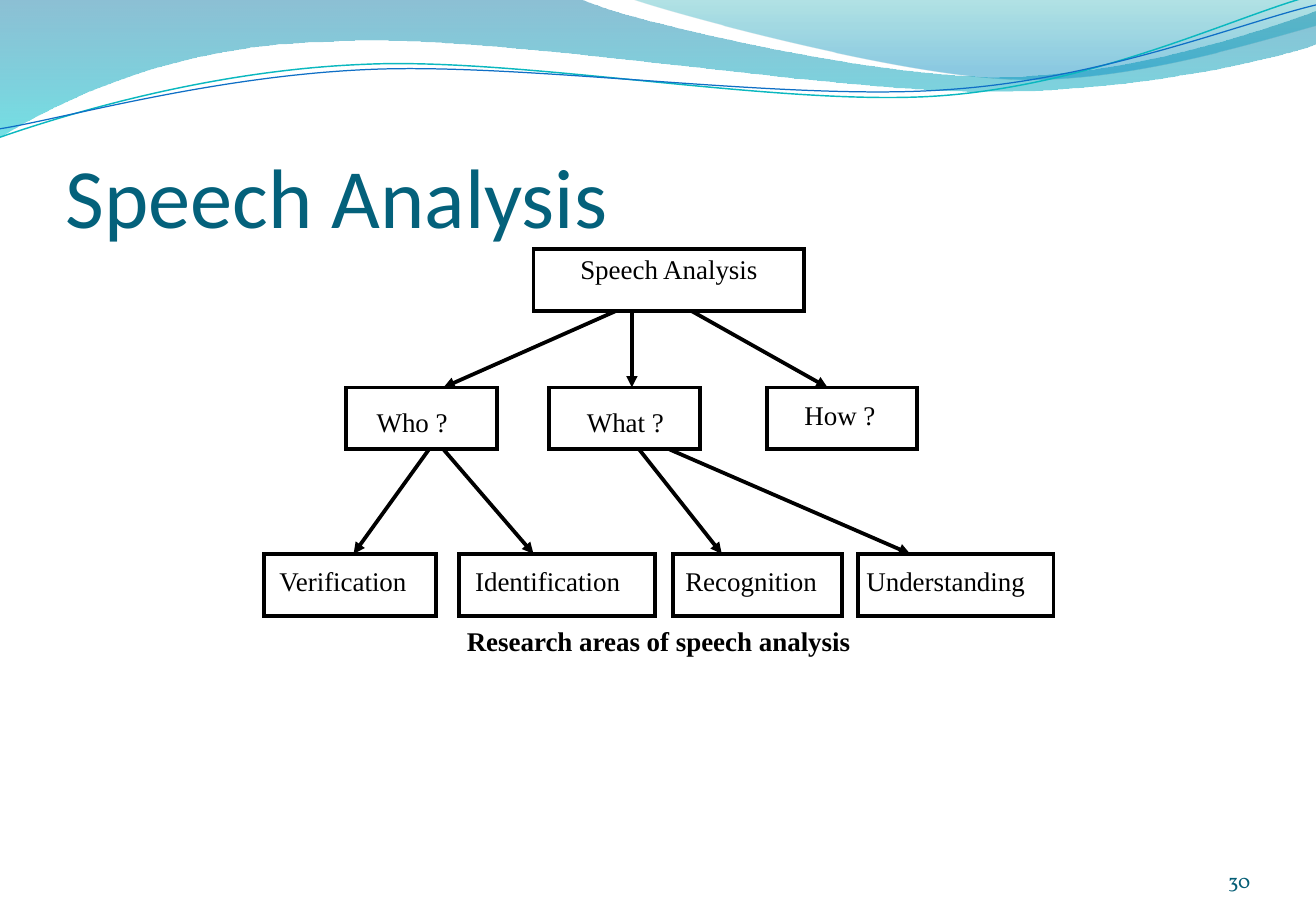
"""Build the speech analysis slide: waves, title and a tree of research areas."""
from dataclasses import dataclass
from math import cos, radians, sin
from typing import Any, Optional

from lxml import etree
from pptx import Presentation
from pptx.dml.color import RGBColor
from pptx.enum.shapes import MSO_CONNECTOR, MSO_SHAPE
from pptx.enum.text import MSO_ANCHOR, MSO_AUTO_SIZE, PP_ALIGN
from pptx.oxml.ns import qn
from pptx.util import Cm, Pt

RECT, STRAIGHT = MSO_SHAPE.RECTANGLE, MSO_CONNECTOR.STRAIGHT
TOP, BOTTOM = MSO_ANCHOR.TOP, MSO_ANCHOR.BOTTOM
LEFT, CENTER, RIGHT = PP_ALIGN.LEFT, PP_ALIGN.CENTER, PP_ALIGN.RIGHT
GROW, FIXED = MSO_AUTO_SIZE.SHAPE_TO_FIT_TEXT, MSO_AUTO_SIZE.NONE


@dataclass(frozen=True)
class Theme:
    ink: str = "000000"
    title: str = "04617B"
    page: str = "045D75"
    head: str = "Calibri"
    body: str = "Times New Roman"
    foot: str = "Vollkorn"
    head_size: float = 50
    body_size: float = 16
    foot_size: float = 12
    stroke: float = 2.25


@dataclass(frozen=True)
class Stop:
    place: float
    color: str
    alpha: int


@dataclass(frozen=True)
class Wave:
    start: tuple[float, float]
    steps: list[tuple[float, ...]]
    stops: tuple[Stop, ...] = ()
    color: str = ""
    width: float = 0
    turn: float = 0


@dataclass(frozen=True)
class Style:
    font: str
    size: float
    color: str
    bold: Optional[bool] = None
    align: Any = LEFT
    anchor: Any = TOP
    wrap: bool = True
    fit: Any = GROW
    pads: tuple[float, ...] = (0.07, 0.03, 0.07, 0.03)


@dataclass(frozen=True)
class Node:
    text: str
    left: float
    top: float
    width: float
    text_left: float
    text_top: float
    text_width: float


@dataclass(frozen=True)
class Link:
    start: float
    end: float
    top: float
    base: float


THEME = Theme()
TALL, TEXT_TALL = 0.51, 0.74
ROOT_TOP, MID_TOP, LOW_TOP = 2.05, 3.19, 4.56
LOW_TEXT = 4.62
PIVOT = (5.41, 0.58)
TILT = -2.7

HEAD = Style(THEME.head, THEME.head_size, THEME.title, anchor=BOTTOM,
             fit=FIXED, pads=(0, 0.05, 0, 0))
PAGE = Style(THEME.foot, THEME.foot_size, THEME.page, align=RIGHT,
             anchor=BOTTOM, fit=FIXED, pads=(0, 0, 0, 0))
ROOT = Style(THEME.body, THEME.body_size, THEME.ink, align=CENTER, fit=FIXED)
LABEL = Style(THEME.body, THEME.body_size, THEME.ink, wrap=False)
NOTE = Style(THEME.body, THEME.body_size, THEME.ink, bold=True, align=CENTER)

WAVES = [
    Wave((0, 0), [(4.77, -0.01), (5.15, 0.17, 7.19, 0.63, 8.22, 0.63),
                  (9.24, 0.63, 10.38, 0.26, 10.83, 0.09), (10.84, 0.36),
                  (10.65, 0.44, 9.42, 0.76, 8.08, 0.75),
                  (6.74, 0.75, 4.14, 0.28, 2.79, 0.34),
                  (1.4, 0.36, 0.5, 0.83, -0.01, 1.13), (0, 0)],
         (Stop(0, "0074A1", 45), Stop(1, "00C6CF", 55))),
    Wave((5.19, -0.01), [(5.52, 0.11, 7.39, 0.62, 8.33, 0.65),
                         (9.27, 0.69, 10.42, 0.32, 10.83, 0.21),
                         (10.83, 0), (5.19, -0.01)],
         (Stop(0, "00A1A9", 30), Stop(0.8, "008BBF", 45))),
    Wave((0, 1.13), [(0.52, 0.95, 1.71, 0.58, 3, 0.53),
                     (4.28, 0.47, 6.42, 0.88, 7.72, 0.79),
                     (9.02, 0.7, 10.17, 0.13, 10.81, -0.04)],
         color="0AB8BF", width=0.85, turn=TILT),
    Wave((0, 1.06), [(0.51, 0.98, 1.77, 0.62, 3.07, 0.57),
                     (4.36, 0.52, 6.47, 0.83, 7.76, 0.74),
                     (9.06, 0.66, 10.2, 0.19, 10.83, 0.04)],
         color="0F6FC6", width=0.75, turn=TILT),
]
NODES = [
    Node("Who ?", 2.85, MID_TOP, 1.24, 3.03, 3.31, 0.73),
    Node("What ?", 4.52, MID_TOP, 1.24, 4.76, 3.31, 0.78),
    Node("How ?", 6.31, MID_TOP, 1.24, 6.55, 3.25, 0.74),
    Node("Verification", 2.17, LOW_TOP, 1.42, 2.23, LOW_TEXT, 1.22),
    Node("Identification", 3.78, LOW_TOP, 1.61, 3.84, LOW_TEXT, 1.34),
    Node("Recognition", 5.54, LOW_TOP, 1.39, 5.57, LOW_TEXT, 1.23),
    Node("Understanding", 7.06, LOW_TOP, 1.61, 7.06, LOW_TEXT, 1.45),
]
LINKS = [Link(a, b, ROOT_TOP + TALL, MID_TOP)
         for a, b in ((5.07, 3.65), (5.2, 5.2), (5.69, 6.81))]
LINKS += [Link(a, b, MID_TOP + TALL, LOW_TOP)
          for a, b in ((3.53, 2.91), (3.65, 4.39), (5.26, 5.94), (5.51, 7.49))]


def span(*inches: float) -> list[Cm]:
    """Turn inches into lengths."""
    return [Cm(value * 2.54) for value in inches]


def apply(target: Any, values: dict[str, Any]) -> None:
    """Set each named value on the target."""
    for name, value in values.items():
        setattr(target, name, value)


def ink_line(line: Any, color: str, width: float) -> None:
    """Give a line its colour and width."""
    line.color.rgb = RGBColor.from_string(color)
    line.width = Pt(width)


def write(shape: Any, text: str, style: Style) -> None:
    """Write styled text in a shape."""
    frame, sides = shape.text_frame, ("left", "top", "right", "bottom")
    pads = {f"margin_{side}": pad for side, pad in zip(sides, span(*style.pads))}
    apply(frame, {"word_wrap": style.wrap, "auto_size": style.fit,
                  "vertical_anchor": style.anchor, **pads})
    line = frame.paragraphs[0]
    line.alignment = style.align
    run = line.add_run()
    run.text = text
    apply(run.font, {"name": style.font, "size": Pt(style.size), "bold": style.bold})
    run.font.color.rgb = RGBColor.from_string(style.color)


def add_text(shapes: Any, text: str, place: tuple[float, ...], style: Style) -> None:
    """Add a text box."""
    write(shapes.add_textbox(*span(*place)), text, style)


def add_box(shapes: Any, left: float, top: float, width: float) -> Any:
    """Add a sharp-cornered box of the tree."""
    box = shapes.add_shape(RECT, *span(left, top, width, TALL))
    box.shadow.inherit = False
    box.fill.background()
    ink_line(box.line, THEME.ink, THEME.stroke)
    etree.SubElement(box.line._get_or_add_ln(), qn("a:miter"), lim="800000")
    return box


def add_link(shapes: Any, link: Link) -> None:
    """Add an arrow between two rows of the tree."""
    arrow = shapes.add_connector(
        STRAIGHT, *span(link.start, link.top, link.end, link.base))
    ink_line(arrow.line, THEME.ink, THEME.stroke)
    etree.SubElement(arrow.line._get_or_add_ln(), qn("a:tailEnd"), type="triangle")
    etree.SubElement(arrow._element.spPr, qn("a:effectLst"))


def level(x: float, y: float, turn: float) -> list[Cm]:
    """Place a point as it lies before the wave is turned."""
    angle, across, down = radians(-turn), x - PIVOT[0], y - PIVOT[1]
    return span(PIVOT[0] + across * cos(angle) - down * sin(angle),
                PIVOT[1] + across * sin(angle) + down * cos(angle))


def bend(shape: Any, wave: Wave) -> None:
    """Join each three points of a curved step into one curve."""
    lines = iter(shape._element.findall(".//" + qn("a:lnTo")))
    for step in wave.steps:
        group = [next(lines) for _ in range(len(step) // 2)]
        if len(group) == 3:
            curve = etree.Element(qn("a:cubicBezTo"))
            group[0].addprevious(curve)
            for line in group:
                curve.append(line[0])
                line.getparent().remove(line)


def add_wave(shapes: Any, wave: Wave) -> None:
    """Add a filled or drawn wave."""
    pen = shapes.build_freeform(*level(*wave.start, wave.turn))
    points = [level(x, y, wave.turn) for step in wave.steps
              for x, y in zip(step[::2], step[1::2])]
    pen.add_line_segments(points, close=bool(wave.stops))
    shape = pen.convert_to_shape()
    bend(shape, wave)
    apply(shape, {"rotation": wave.turn})
    shape.shadow.inherit = False
    if not wave.stops:
        shape.fill.background()
        ink_line(shape.line, wave.color, wave.width)
        return
    shape.line.fill.background()
    shape.fill.gradient()
    shape.fill.gradient_angle = 270
    for stop, mark in zip(wave.stops, shape.fill.gradient_stops):
        mark.position = stop.place
        mark.color.rgb = RGBColor.from_string(stop.color)
        etree.SubElement(mark._gs[0], qn("a:alpha"), val=str(stop.alpha * 1000))


def main() -> None:
    """Draw the slide and save it."""
    deck = Presentation()
    deck.slide_width, deck.slide_height = span(10.83, 7.5)
    shapes = deck.slides.add_slide(deck.slide_layouts[6]).shapes
    for wave in WAVES:
        add_wave(shapes, wave)
    add_text(shapes, "Speech Analysis", (0.54, 0.77, 9.75, 1.25), HEAD)
    add_text(shapes, "30", (9.39, 6.95, 0.9, 0.4), PAGE)
    write(add_box(shapes, 4.39, ROOT_TOP, 2.23), "Speech Analysis", ROOT)
    for node in NODES:
        place = (node.text_left, node.text_top, node.text_width, TEXT_TALL)
        add_text(shapes, node.text, place, LABEL)
        add_box(shapes, node.left, node.top, node.width)
    for link in LINKS:
        add_link(shapes, link)
    add_text(shapes, "Research areas of speech analysis",
             (2.17, 5.11, 6.5, TEXT_TALL), NOTE)
    deck.save("out.pptx")


if __name__ == "__main__":
    main()
